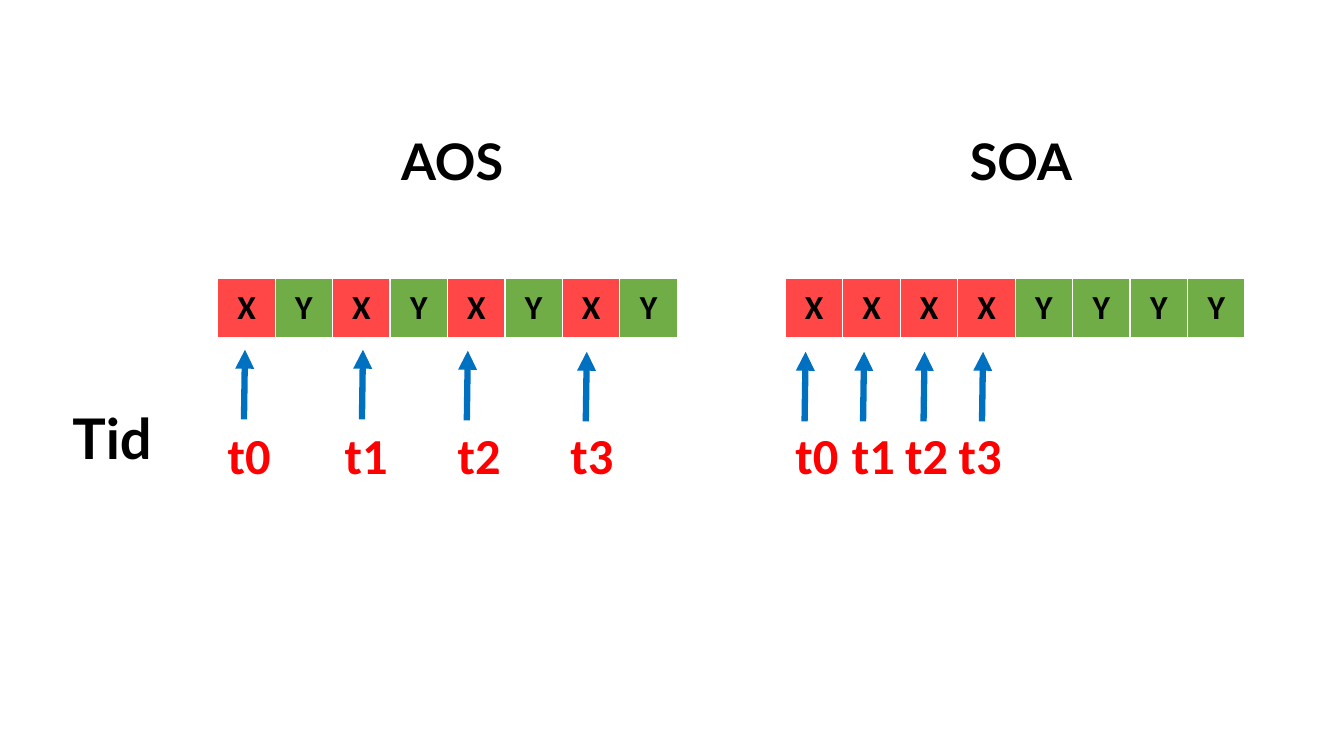
"""Build a slide comparing how threads access AOS and SOA memory layouts."""
import pptx
import pptx.util
import pptx.dml.color
import pptx.enum.shapes
import pptx.enum.text
import pptx.oxml
import pptx.oxml.ns
from lxml import etree

COLORS = {"X": "FF4747", "Y": "70AD47", "black": "000000",
          "thread": "FF0000", "arrow": "0070C0", "border": "FFFFFF"}
LAYOUTS = [
    {"name": "AOS", "heading_left": 388, "array_left": 216, "cells": "XYXYXYXY",
     "thread_lefts": [216, 332, 444, 556],
     "arrow_tips": [(243, 347), (360, 347), (464, 348), (582, 349)]},
    {"name": "SOA", "heading_left": 952, "array_left": 779, "cells": "XXXXYYYY",
     "thread_lefts": [779, 835, 888, 941],
     "arrow_tips": [(799, 349), (857, 349), (917, 349), (975, 349)]},
]
ROW_LABEL = "Tid"

PX = 9144
SLIDE_SIZE = (1333, 750)
ARRAY_TOP, CELL_WIDTH, CELL_HEIGHT = 276, 57, 60
HEADING_TOP, THREAD_TOP = 124, 416
ARROW_LEAN, ARROW_LENGTH = 1, 69
BORDERS = {"a:lnL": 1, "a:lnR": 1, "a:lnT": 1, "a:lnB": 3}


def px(*lengths):
    return [length * PX for length in lengths]


def rgb(name):
    return pptx.dml.color.RGBColor.from_string(COLORS[name])


def style_font(font, size, name, color):
    font.size = pptx.util.Pt(size)
    font.name = name
    font.bold = True
    font.color.rgb = rgb(color)


def add_label(slide, text, box, size, font_name, color):
    text_frame = slide.shapes.add_textbox(*px(*box)).text_frame
    text_frame.word_wrap = True
    text_frame.auto_size = pptx.enum.text.MSO_AUTO_SIZE.SHAPE_TO_FIT_TEXT
    text_frame.text = text
    style_font(text_frame.paragraphs[0].runs[0].font, size, font_name, color)


def add_borders(cell):
    properties = cell._tc.get_or_add_tcPr()
    for index, (tag, points) in enumerate(BORDERS.items()):
        line = etree.Element(pptx.oxml.ns.qn(tag), w=str(pptx.util.Pt(points)))
        fill = etree.SubElement(line, pptx.oxml.ns.qn("a:solidFill"))
        etree.SubElement(fill, pptx.oxml.ns.qn("a:srgbClr"), val=COLORS["border"])
        properties.insert(index, line)


def add_array(slide, left, letters):
    box = px(left, ARRAY_TOP, CELL_WIDTH * len(letters), CELL_HEIGHT)
    table = slide.shapes.add_table(1, len(letters), *box).table
    for column, letter in enumerate(letters):
        table.columns[column].width = CELL_WIDTH * PX
        cell = table.cell(0, column)
        cell.fill.solid()
        cell.fill.fore_color.rgb = rgb(letter)
        cell.vertical_anchor = pptx.enum.text.MSO_ANCHOR.MIDDLE
        cell.text_frame.text = letter
        paragraph = cell.text_frame.paragraphs[0]
        paragraph.alignment = pptx.enum.text.PP_ALIGN.CENTER
        style_font(paragraph.runs[0].font, 24, "Calibri", "black")
        add_borders(cell)


def add_arrow(slide, tip_x, tip_y):
    ends = px(tip_x - ARROW_LEAN, tip_y + ARROW_LENGTH, tip_x, tip_y)
    arrow = slide.shapes.add_connector(pptx.enum.shapes.MSO_CONNECTOR.STRAIGHT, *ends)
    arrow.line.color.rgb = rgb("arrow")
    arrow.line.width = pptx.util.Pt(4.5)
    line = arrow.line._get_or_add_ln()
    etree.SubElement(line, pptx.oxml.ns.qn("a:tailEnd"), type="triangle")
    etree.SubElement(arrow._element.spPr, pptx.oxml.ns.qn("a:effectLst"))


def main():
    presentation = pptx.Presentation()
    presentation.slide_width, presentation.slide_height = px(*SLIDE_SIZE)
    slide = presentation.slides.add_slide(presentation.slide_layouts[6])
    add_label(slide, ROW_LABEL, (62, 395, 125, 77), 40, "Lato", "black")
    for layout in LAYOUTS:
        add_array(slide, layout["array_left"], layout["cells"])
        heading_box = (layout["heading_left"], HEADING_TOP, 274, 71)
        add_label(slide, layout["name"], heading_box, 36, "Lato", "black")
        for thread, left in enumerate(layout["thread_lefts"]):
            add_label(slide, f"t{thread}", (left, THREAD_TOP, 85, 71), 36, "Calibri", "thread")
        for tip in layout["arrow_tips"]:
            add_arrow(slide, *tip)
    presentation.save("out.pptx")


if __name__ == "__main__":
    main()
